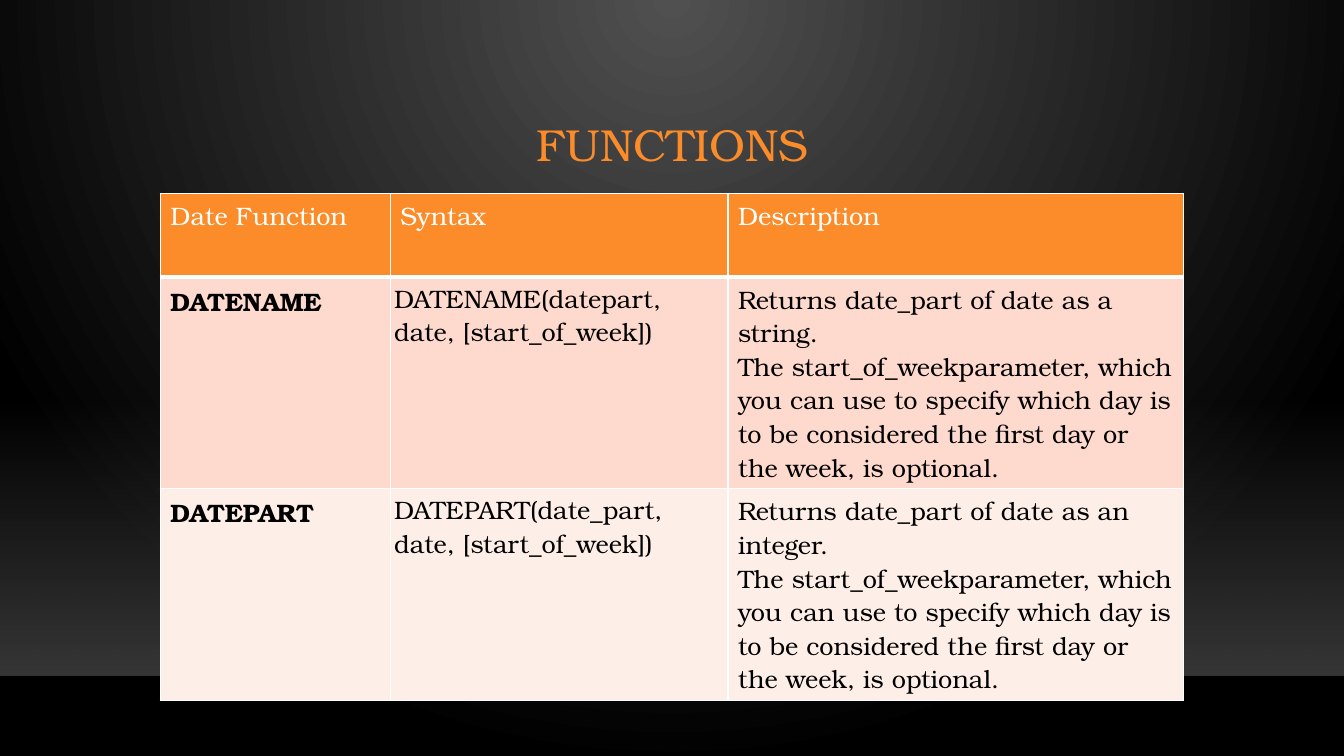
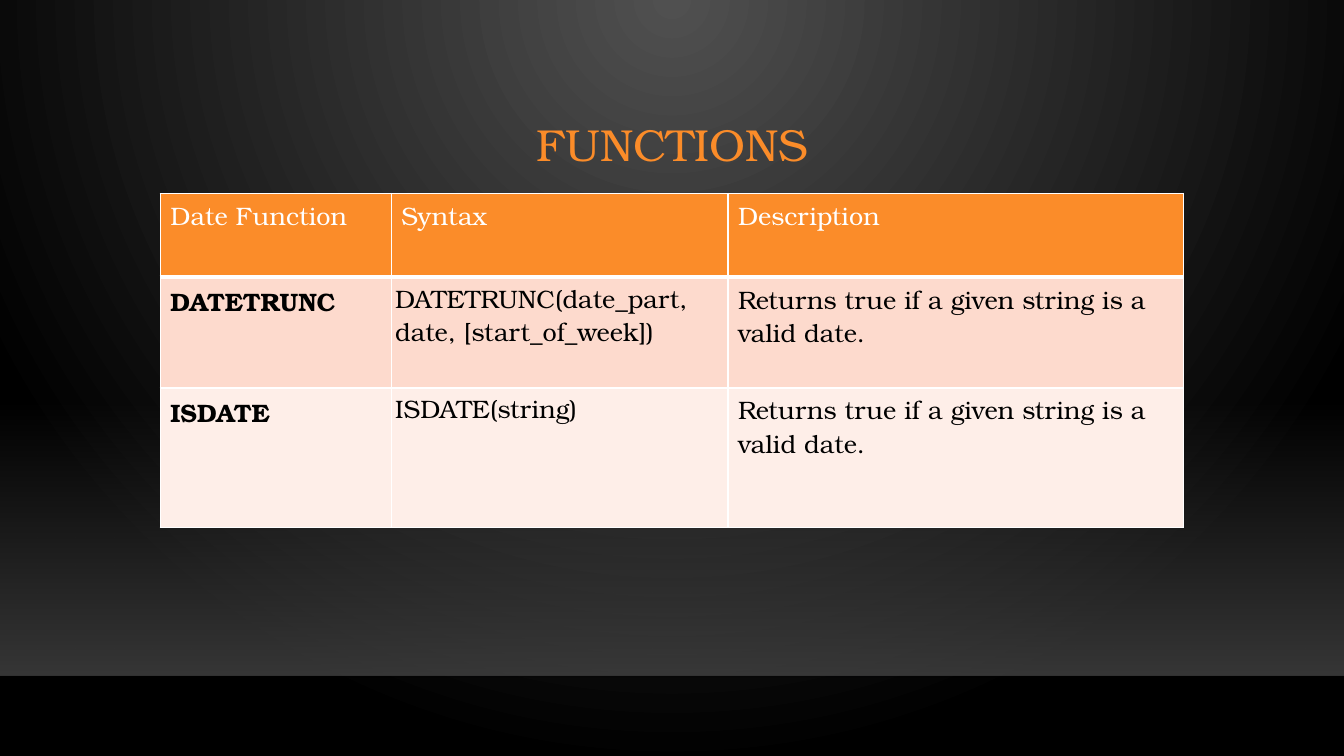
"""Build two slides of date function tables on a dark stage."""
from lxml import etree
from pptx import Presentation
from pptx import util as u
from pptx.dml.color import RGBColor
from pptx.enum import shapes, text
from pptx.oxml.ns import qn

TITLE = "FUNCTIONS"
HEADER = ("Date Function", "Syntax", "Description")
OPTIONAL = ("The\u00a0start_of_weekparameter, which you can use to specify which day "
            "is to be considered the first day or the week, is optional.\u00a0")
RETURNS = "Returns\u00a0date_part\u00a0of\u00a0date\u00a0as "
VALID = "Returns true if a given string is a valid date."
SLIDES = [
    {"columns": (2.28, 3.35, 4.52), "heights": (0.83, 2.1, 2.1), "rows": [
        HEADER,
        ("DATENAME", "DATENAME(datepart, date, [start_of_week])",
         RETURNS + "a string. " + OPTIONAL),
        ("DATEPART", "DATEPART(date_part, date, [start_of_week])",
         RETURNS + "an integer.\n" + OPTIONAL)]},
    {"columns": (2.29, 3.34, 4.52), "heights": (0.83, 1.1, 1.38), "rows": [
        HEADER,
        ("DATETRUNC", "DATETRUNC(date_part, date, [start_of_week])", VALID),
        ("ISDATE", "ISDATE(string)", VALID)]},
]

WIDTH, HEIGHT = 13.33, 7.5
LEFT, CONTENT_WIDTH = 1.59, 10.16
TITLE_TOP, TITLE_HEIGHT = 0.88, 1.15
TABLE_TOP = 1.92
FLOOR_TOP, FLOOR_HEIGHT, EDGE_TOP = 3.96, 2.74, 6.71
FONT = "TeX Gyre Bonum"
ORANGE = RGBColor(0xFB, 0x8C, 0x29)
ROW_FILLS = (ORANGE, RGBColor(0xFD, 0xDA, 0xCD), RGBColor(0xFE, 0xEE, 0xE8))
WHITE = RGBColor(255, 255, 255)
BLACK = RGBColor(0, 0, 0)
EDGE = RGBColor(0, 0, 1)
GLOW = RGBColor(0x50, 0x50, 0x50)
FLOOR = RGBColor(0x45, 0x45, 0x45)


def add_node(parent, tag, **attributes):
    node = etree.SubElement(parent, qn(tag))
    for name, value in attributes.items():
        node.set(name, str(value))
    return node


def set_opacity(color_node, percent):
    add_node(color_node, "a:alpha", val=percent * 1000)


def set_gradient(fill, start, end):
    fill.gradient()
    for stop, color, position in zip(fill.gradient_stops, (start, end), (0, 1)):
        stop.color.rgb = color
        stop.position = position


def write(frame, content, size=18, color=BLACK, bold=False, align=None, spacing=None):
    for index, line in enumerate(content.split("\n")):
        para = frame.add_paragraph() if index else frame.paragraphs[0]
        para.alignment = align
        para.line_spacing = spacing
        span = para.add_run()
        span.text = line
        span.font.name = FONT
        span.font.size = u.Pt(size)
        span.font.bold = bold
        span.font.color.rgb = color


def add_stage(page):
    set_gradient(page.background.fill, GLOW, BLACK)
    gradient = next(page._element.iter(qn("a:gradFill")))
    gradient.remove(gradient.find(qn("a:lin")))
    circle = add_node(gradient, "a:path", path="circle")
    add_node(circle, "a:fillToRect", l=43000, t=0, r=43000, b=100000)

    floor = page.shapes.add_shape(
        shapes.MSO_SHAPE.RECTANGLE, 0, u.Inches(FLOOR_TOP),
        u.Inches(WIDTH), u.Inches(FLOOR_HEIGHT))
    floor.shadow.inherit = False
    floor.line.fill.background()
    set_gradient(floor.fill, FLOOR, FLOOR)
    floor.fill.gradient_angle = 270
    for color_node, percent in zip(floor._element.spPr.iter(qn("a:srgbClr")), (0, 80)):
        set_opacity(color_node, percent)

    edge = page.shapes.add_connector(
        shapes.MSO_CONNECTOR.STRAIGHT, 0, u.Inches(EDGE_TOP),
        u.Inches(WIDTH), u.Inches(EDGE_TOP))
    edge.line.width = u.Pt(1)
    edge.line.color.rgb = EDGE
    properties = edge._element.spPr
    set_opacity(next(properties.iter(qn("a:srgbClr"))), 20)
    add_node(properties, "a:effectLst")


def add_title(page):
    box = page.shapes.add_textbox(u.Inches(LEFT), u.Inches(TITLE_TOP),
                                  u.Inches(CONTENT_WIDTH), u.Inches(TITLE_HEIGHT))
    box.text_frame.word_wrap = True
    box.text_frame.vertical_anchor = text.MSO_ANCHOR.MIDDLE
    write(box.text_frame, TITLE, size=32, color=ORANGE,
          align=text.PP_ALIGN.CENTER, spacing=0.9)


def set_borders(cell, **widths):
    properties = cell._tc.get_or_add_tcPr()
    for side in "LRTB":
        line = add_node(properties, "a:ln" + side, w=u.Pt(widths.get(side, 1)))
        add_node(add_node(line, "a:solidFill"), "a:srgbClr", val=WHITE)


def add_function_table(page, columns, heights, rows):
    table = page.shapes.add_table(
        len(rows), len(columns), u.Inches(LEFT), u.Inches(TABLE_TOP),
        u.Inches(CONTENT_WIDTH), u.Inches(sum(heights))).table
    for column, width in zip(table.columns, columns):
        column.width = u.Inches(width)
    for row_index, values in enumerate(rows):
        table.rows[row_index].height = u.Inches(heights[row_index])
        is_header = row_index == 0
        for column_index, value in enumerate(values):
            cell = table.cell(row_index, column_index)
            set_borders(cell, **({"B": 3} if is_header else {"T": 3} if row_index == 1 else {}))
            cell.fill.solid()
            cell.fill.fore_color.rgb = ROW_FILLS[row_index]
            if column_index == 1 and not is_header:
                cell.margin_left = cell.margin_right = u.Inches(0.04)
                cell.margin_top = cell.margin_bottom = u.Inches(0.04)
            write(cell.text_frame, value, color=WHITE if is_header else BLACK,
                  bold=column_index == 0 and not is_header)


deck = Presentation()
deck.slide_width, deck.slide_height = u.Inches(WIDTH), u.Inches(HEIGHT)
for content in SLIDES:
    page = deck.slides.add_slide(deck.slide_layouts[6])
    add_stage(page)
    add_title(page)
    add_function_table(page, **content)
deck.save("out.pptx")
